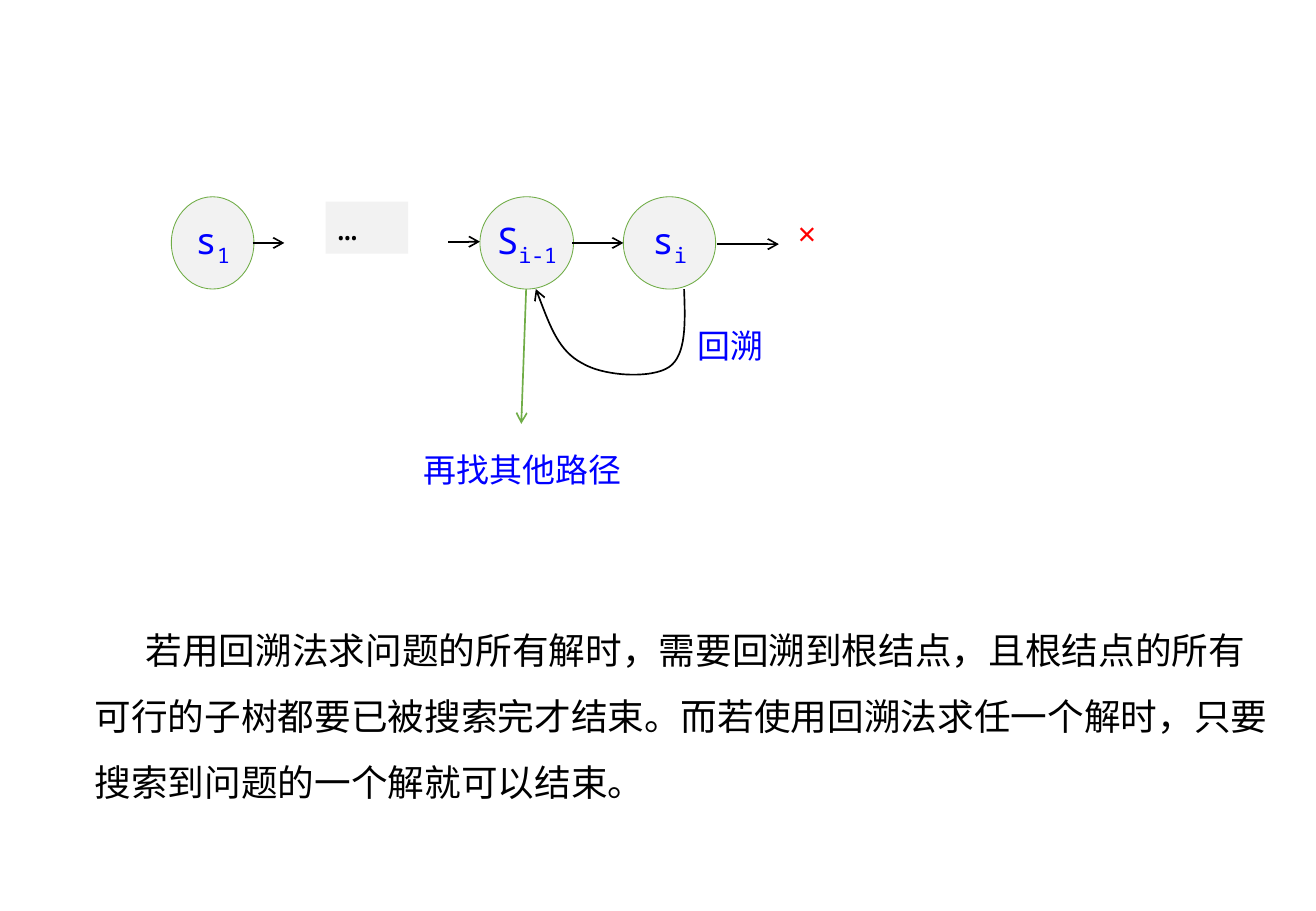
from dataclasses import dataclass

import lxml.etree
import pptx
import pptx.dml.color
import pptx.enum.shapes
import pptx.enum.text
import pptx.oxml.ns
import pptx.util

SLIDE_SIZE = (1083, 750)
PX = 9144  # EMU per px, 100 px to the inch

# Circles: left, width, letter, subscript
STATES = [
    (141, 68, "s", "1"),
    (395, 77, "S", "i-1"),
    (513, 76, "s", "i"),
]
STATE_TOP, STATE_HEIGHT = 162, 76

# Arrows: start, end, colour name
ARROWS = [
    ((208, 200), (234, 200), "ink"),
    ((369, 199), (395, 199), "ink"),
    ((471, 200), (513, 200), "ink"),
    ((590, 201), (641, 201), "ink"),
    ((433, 238), (429, 349), "green"),
]

# Start point, then three points for each Bézier section
BACKTRACK_CURVE = [
    (563, 238),
    (564, 265), (565, 292), (551, 302),
    (537, 312), (497, 310), (479, 299),
    (460, 289), (451, 264), (441, 238),
]

# Labels: box, text, colour name, whether the box has inner margins
LABELS = [
    ((656, 176, 34, 33), "×", "red", False),
    ((564, 263, 85, 43), "回溯", "blue", True),
    ((339, 365, 203, 43), "再找其他路径", "blue", True),
]
ELLIPSIS = ((268, 166, 68, 43), "…")
SUMMARY_BOX, SUMMARY_INDENT = (68, 494, 990, 168), 42
SUMMARY = (
    "若用回溯法求问题的所有解时，需要回溯到根结点，且根结点的所有可行的子树都要已被搜索完才结束。"
    "而若使用回溯法求任一个解时，只要搜索到问题的一个解就可以结束。"
)


@dataclass(frozen=True)
class Theme:
    ink: str = "000000"
    blue: str = "0000FF"
    red: str = "FF0000"
    green: str = "70AD47"
    panel: str = "F2F2F2"
    font: str = "Noto Sans Mono"
    large: float = 21.7
    small: float = 19.5
    outline: float = 0.5
    stroke: float = 1


THEME = Theme()


def px(*lengths):
    return [pptx.util.Emu(length * PX) for length in lengths]


def rgb(color):
    return pptx.dml.color.RGBColor.from_string(color)


def add_run(paragraph, text, size, color, baseline=None):
    run = paragraph.add_run()
    run.text = text
    run.font.name = THEME.font
    run.font.size = pptx.util.Pt(size)
    run.font.color.rgb = rgb(color)
    if baseline is not None:
        run.font._element.set("baseline", str(baseline))


def set_margins(frame, horizontal, vertical):
    frame.margin_left = frame.margin_right = px(horizontal)[0]
    frame.margin_top = frame.margin_bottom = px(vertical)[0]


def set_stroke(line, color, width):
    line.color.rgb = rgb(color)
    line.width = pptx.util.Pt(width)


def add_arrowhead(line):
    """Put an open arrowhead at the end of a line."""
    line_properties = line._get_or_add_ln()
    lxml.etree.SubElement(line_properties, pptx.oxml.ns.qn("a:tailEnd"), type="arrow")


def add_panel(slide, kind, box):
    shape = slide.shapes.add_shape(kind, *px(*box))
    shape.shadow.inherit = False
    shape.fill.solid()
    shape.fill.fore_color.rgb = rgb(THEME.panel)
    return shape


def add_state(slide, left, width, letter, subscript):
    box = (left, STATE_TOP, width, STATE_HEIGHT)
    shape = add_panel(slide, pptx.enum.shapes.MSO_SHAPE.OVAL, box)
    set_stroke(shape.line, THEME.green, THEME.outline)
    frame = shape.text_frame
    frame.vertical_anchor = pptx.enum.text.MSO_ANCHOR.MIDDLE
    set_margins(frame, 0, 5)
    paragraph = frame.paragraphs[0]
    paragraph.alignment = pptx.enum.text.PP_ALIGN.CENTER
    add_run(paragraph, letter, THEME.large, THEME.blue)
    add_run(paragraph, subscript, THEME.large, THEME.blue, baseline=-25000)


def add_arrow(slide, start, end, color):
    straight = pptx.enum.shapes.MSO_CONNECTOR.STRAIGHT
    connector = slide.shapes.add_connector(straight, *px(*start, *end))
    set_stroke(connector.line, color, THEME.stroke)
    add_arrowhead(connector.line)
    effects = pptx.oxml.ns.qn("a:effectLst")
    lxml.etree.SubElement(connector._element.spPr, effects)


def add_curve(slide, points):
    """Build an open outline and turn each three line steps into a Bézier section."""
    builder = slide.shapes.build_freeform(*points[0], scale=PX)
    builder.add_line_segments(points[1:], close=False)
    shape = builder.convert_to_shape()
    steps = list(shape._element.iter(pptx.oxml.ns.qn("a:lnTo")))
    for first in range(0, len(steps), 3):
        section = steps[first]
        section.tag = pptx.oxml.ns.qn("a:cubicBezTo")
        for step in steps[first + 1:first + 3]:
            section.append(step[0])
            step.getparent().remove(step)
    shape.shadow.inherit = False
    shape.fill.background()
    set_stroke(shape.line, THEME.ink, THEME.stroke)
    add_arrowhead(shape.line)


def add_text(slide, box, text, size, color):
    frame = slide.shapes.add_textbox(*px(*box)).text_frame
    frame.word_wrap = True
    frame.auto_size = pptx.enum.text.MSO_AUTO_SIZE.SHAPE_TO_FIT_TEXT
    add_run(frame.paragraphs[0], text, size, color)
    return frame


def add_ellipsis(slide, box, text):
    shape = add_panel(slide, pptx.enum.shapes.MSO_SHAPE.RECTANGLE, box)
    shape.line.fill.background()
    shape.text_frame.vertical_anchor = pptx.enum.text.MSO_ANCHOR.TOP
    paragraph = shape.text_frame.paragraphs[0]
    paragraph.alignment = pptx.enum.text.PP_ALIGN.LEFT
    add_run(paragraph, text, THEME.small, THEME.ink)


def add_summary(slide):
    frame = add_text(slide, SUMMARY_BOX, SUMMARY, THEME.large, THEME.ink)
    paragraph = frame.paragraphs[0]
    paragraph.line_spacing = 1.5
    paragraph._p.get_or_add_pPr().set("indent", str(SUMMARY_INDENT * PX))


def main():
    presentation = pptx.Presentation()
    presentation.slide_width, presentation.slide_height = px(*SLIDE_SIZE)
    slide = presentation.slides.add_slide(presentation.slide_layouts[6])
    add_summary(slide)
    for state in STATES:
        add_state(slide, *state)
    add_ellipsis(slide, *ELLIPSIS)
    for start, end, color in ARROWS:
        add_arrow(slide, start, end, getattr(THEME, color))
    add_curve(slide, BACKTRACK_CURVE)
    for box, text, color, has_margins in LABELS:
        frame = add_text(slide, box, text, THEME.small, getattr(THEME, color))
        if not has_margins:
            set_margins(frame, 0, 0)
    presentation.save("out.pptx")


if __name__ == "__main__":
    main()
